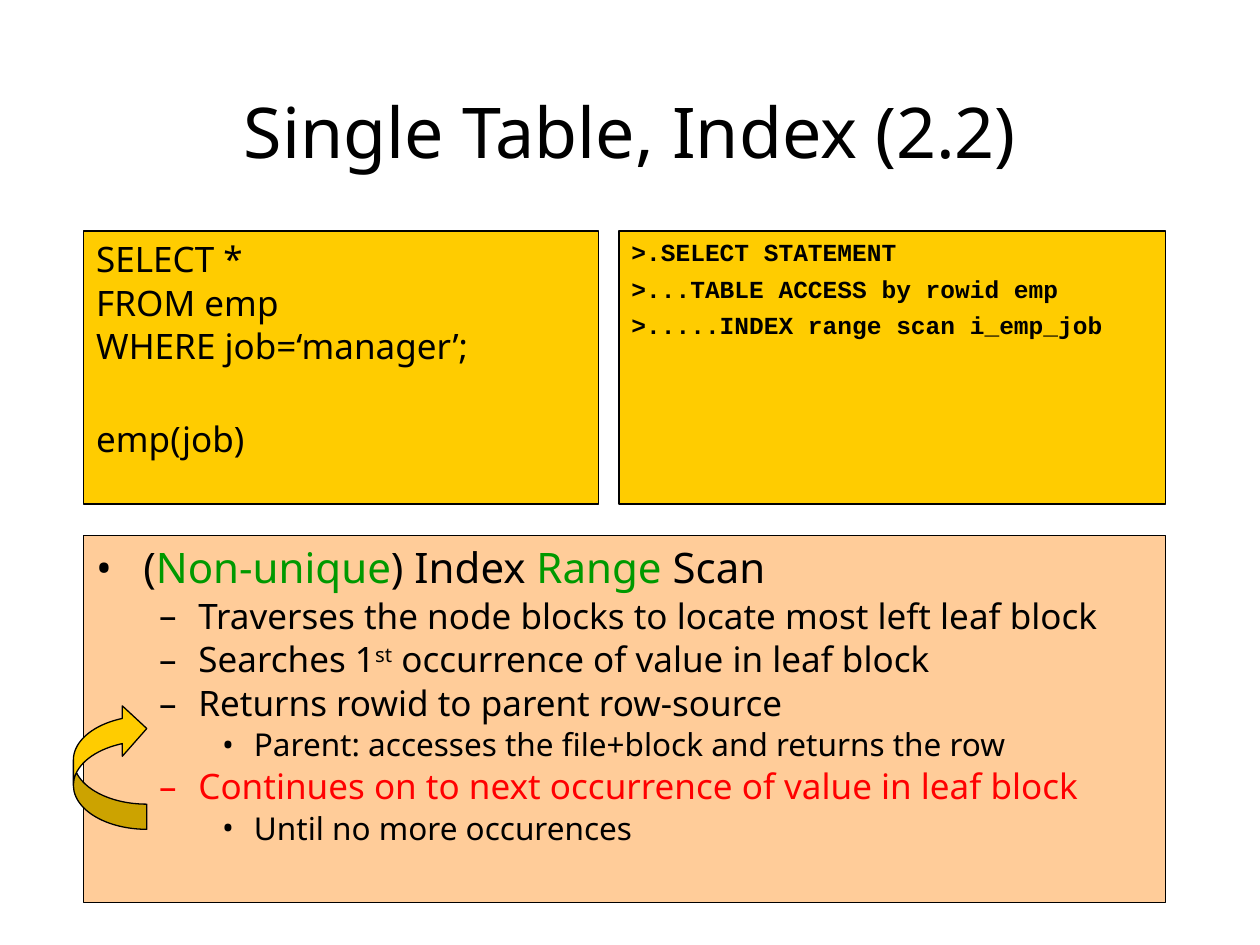
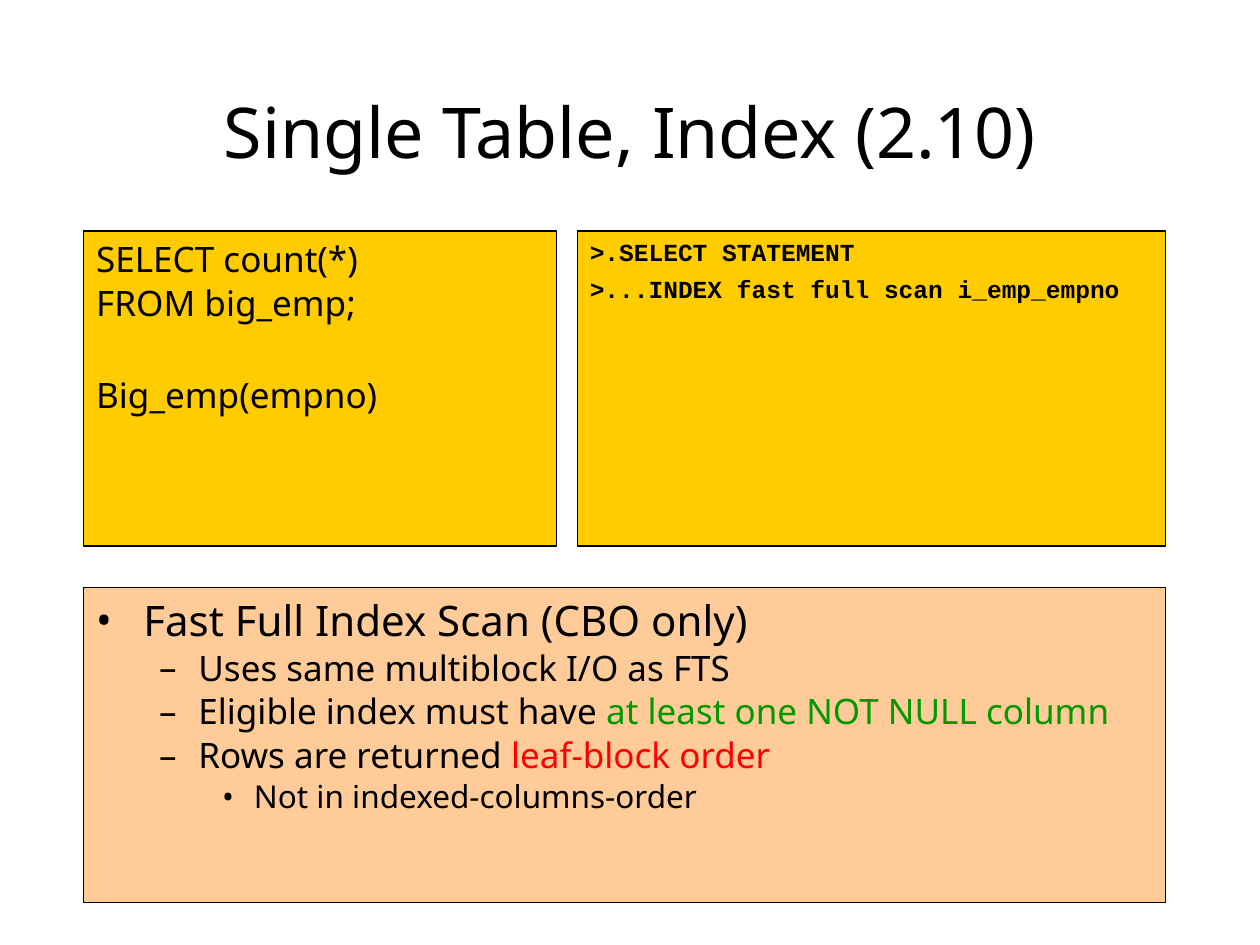
from dataclasses import dataclass

from lxml.etree import SubElement
from pptx import Presentation
from pptx.dml.color import RGBColor
from pptx.enum.shapes import MSO_SHAPE
from pptx.enum.text import MSO_ANCHOR, MSO_AUTO_SIZE, PP_ALIGN
from pptx.oxml.ns import qn
from pptx.util import Cm, Pt


@dataclass(frozen=True)
class Theme:
    """Colours, fonts, type sizes and shared edges of the deck."""
    ink: str = "000000"
    green: str = "009900"
    red: str = "FF0000"
    gold: str = "FFCC00"
    peach: str = "FFCC99"
    sans: str = "Noto Sans"
    mono: str = "Courier New"
    title: int = 40
    query: int = 20
    plan: int = 14
    levels: tuple = (24, 20, 18)
    left: float = 1.69
    right: float = 23.5
    top: float = 4.66
    bottom: float = 18.2
    gutter: float = 0.42


T = Theme()
LEVELS = (("•", 0.95, 0.95), ("–", 2.06, 0.79), ("•", 3.18, 0.64))
SLIDES = (
    {
        "title": "Single Table, Index (2.2)",
        "query": ("SELECT *", "FROM emp", "WHERE job=‘manager’;"),
        "index": "emp(job)",
        "plan": (">.SELECT STATEMENT", ">...TABLE ACCESS by rowid emp",
                 ">.....INDEX range scan i_emp_job"),
        "query_width": 10.37, "code_height": 5.5, "notes_top": 10.8,
        "notes": (
            (0, ("(", ("Non-unique", T.green), ") Index ", ("Range", T.green), " Scan")),
            (1, ("Traverses the node blocks to locate most left leaf block",)),
            (1, ("Searches 1", ("st", T.ink, 30), " occurrence of value in leaf block")),
            (1, ("Returns rowid to parent row-source",)),
            (2, ("Parent: accesses the file+block and returns the row",)),
            (1, (("Continues on to next occurrence of value in leaf block", T.red),)),
            (2, ("Until no more occurences",)),
        ),
        "loop": (1.48, 14.18, 1.48, 2.54),
    },
    {
        "title": "Single Table, Index (2.10)",
        "query": ("SELECT count(*)", "FROM big_emp;"),
        "index": "Big_emp(empno)",
        "plan": (">.SELECT STATEMENT", ">...INDEX fast full scan i_emp_empno"),
        "query_width": 9.53, "code_height": 6.35, "notes_top": 11.85,
        "notes": (
            (0, ("Fast Full Index Scan (CBO only)",)),
            (1, ("Uses same multiblock I/O as FTS",)),
            (1, ("Eligible index must have ", ("at least one NOT NULL column", T.green))),
            (1, ("Rows are returned ", ("leaf-block order", T.red))),
            (2, ("Not in indexed-columns-order",)),
        ),
    },
)


def add_run(p, text, size, color=T.ink, font=T.sans, bold=False, raised=0):
    """Append a formatted run to a paragraph."""
    r = p.add_run()
    r.text = text
    for name, value in {"name": font, "size": Pt(size), "bold": bold}.items():
        setattr(r.font, name, value)
    r.font.color.rgb = RGBColor.from_string(color)
    if raised:
        r.font._element.set("baseline", str(raised * 1000))


def add_paragraph(tf, first, before=1, level=0, bullet=None):
    """Return a left-aligned paragraph with its indent and optional bullet."""
    p = tf.paragraphs[0] if first else tf.add_paragraph()
    values = {"alignment": PP_ALIGN.LEFT, "level": level, "space_before": Pt(before)}
    for name, value in values.items():
        setattr(p, name, value)
    _, margin, hang = LEVELS[level]
    pPr = p._p.get_or_add_pPr()
    pPr.set("marL", str(Cm(margin)))
    pPr.set("indent", str(-Cm(hang)))
    if bullet:
        SubElement(pPr, qn("a:buFont"), typeface=T.sans)
        SubElement(pPr, qn("a:buChar"), char=bullet)
    else:
        SubElement(pPr, qn("a:buNone"))
    return p


def add_outlined(s, kind, box, fill):
    """Add a filled preset shape with a thin outline and no shadow."""
    sp = s.shapes.add_shape(kind, *(Cm(v) for v in box))
    sp.shadow.inherit = False
    sp.fill.solid()
    sp.fill.fore_color.rgb = RGBColor.from_string(fill)
    sp.line.color.rgb = RGBColor.from_string(T.ink)
    sp.line.width = Pt(0.75)
    return sp


def add_panel(s, box, fill):
    """Add a rectangle and return its top-anchored text frame."""
    tf = add_outlined(s, MSO_SHAPE.RECTANGLE, box, fill).text_frame
    for name, value in {"word_wrap": True, "vertical_anchor": MSO_ANCHOR.TOP}.items():
        setattr(tf, name, value)
    return tf


def add_title(s, text):
    """Place and format the slide title."""
    sp = s.shapes.title
    box = {"left": 1.9, "top": 1.69, "width": 21.6, "height": 1.9}
    for name, value in box.items():
        setattr(sp, name, Cm(value))
    tf = sp.text_frame
    values = {"word_wrap": True, "auto_size": MSO_AUTO_SIZE.NONE,
              "vertical_anchor": MSO_ANCHOR.MIDDLE}
    for name, value in values.items():
        setattr(tf, name, value)
    p = tf.paragraphs[0]
    p.alignment = PP_ALIGN.CENTER
    add_run(p, text, T.title)


def add_notes(s, top, items):
    """Add the panel of bulleted explanations."""
    tf = add_panel(s, (T.left, top, T.right - T.left, T.bottom - top), T.peach)
    for i, (level, parts) in enumerate(items):
        p = add_paragraph(tf, i == 0, level=level, bullet=LEVELS[level][0])
        for part in parts:
            text, color, raised = ((part,) if isinstance(part, str) else part) + (T.ink, 0)[
                (1 if isinstance(part, str) else len(part)) - 1:]
            add_run(p, text, T.levels[level], color, raised=raised)


def add_plan(s, left, height, lines):
    """Add the execution plan panel."""
    tf = add_panel(s, (left, T.top, T.right - left, height), T.gold)
    for i, line in enumerate(lines):
        add_run(add_paragraph(tf, i == 0, before=4), line, T.plan, font=T.mono, bold=True)


def add_query(s, width, height, lines, index):
    """Add the query panel, with the index set one line apart."""
    tf = add_panel(s, (T.left, T.top, width, height), T.gold)
    for i, line in enumerate(lines):
        add_run(add_paragraph(tf, i == 0), line, T.query)
    add_run(add_paragraph(tf, False, before=29), index, T.query)


def add_loop(s, box):
    """Add the curved arrow that leads back up to an earlier step."""
    sp = add_outlined(s, MSO_SHAPE.CURVED_RIGHT_ARROW, box, T.gold)
    for i, value in enumerate((0.343, 0.686, 0.333)):
        sp.adjustments[i] = value
    sp.element.spPr.find(qn("a:xfrm")).set("flipV", "1")


def build_slide(prs, data):
    """Build one slide from its content."""
    s = prs.slides.add_slide(prs.slide_layouts[5])
    width, height = data["query_width"], data["code_height"]
    add_title(s, data["title"])
    add_notes(s, data["notes_top"], data["notes"])
    add_plan(s, T.left + width + T.gutter, height, data["plan"])
    add_query(s, width, height, data["query"], data["index"])
    if "loop" in data:
        add_loop(s, data["loop"])


def main():
    """Build and save the deck."""
    prs = Presentation()
    prs.slide_width, prs.slide_height = Cm(25.4), Cm(19.05)
    for data in SLIDES:
        build_slide(prs, data)
    prs.save("out.pptx")


main()
